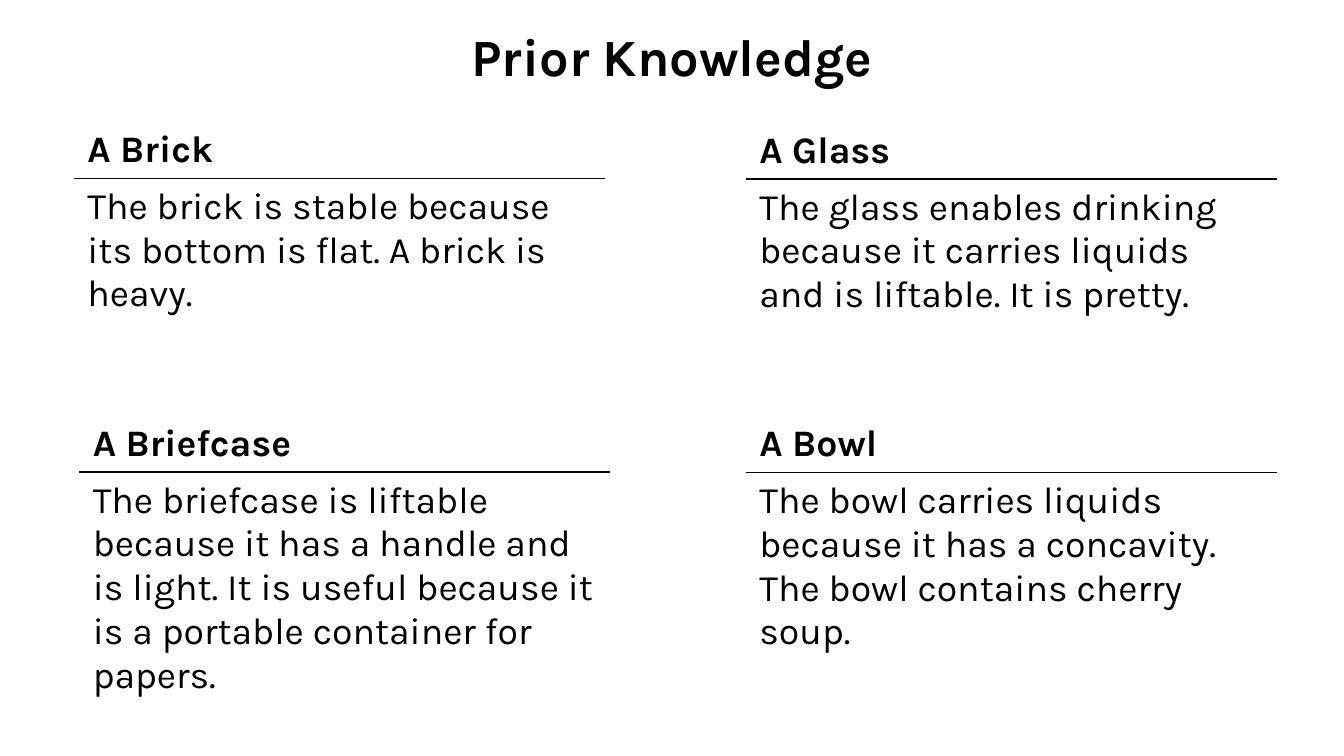
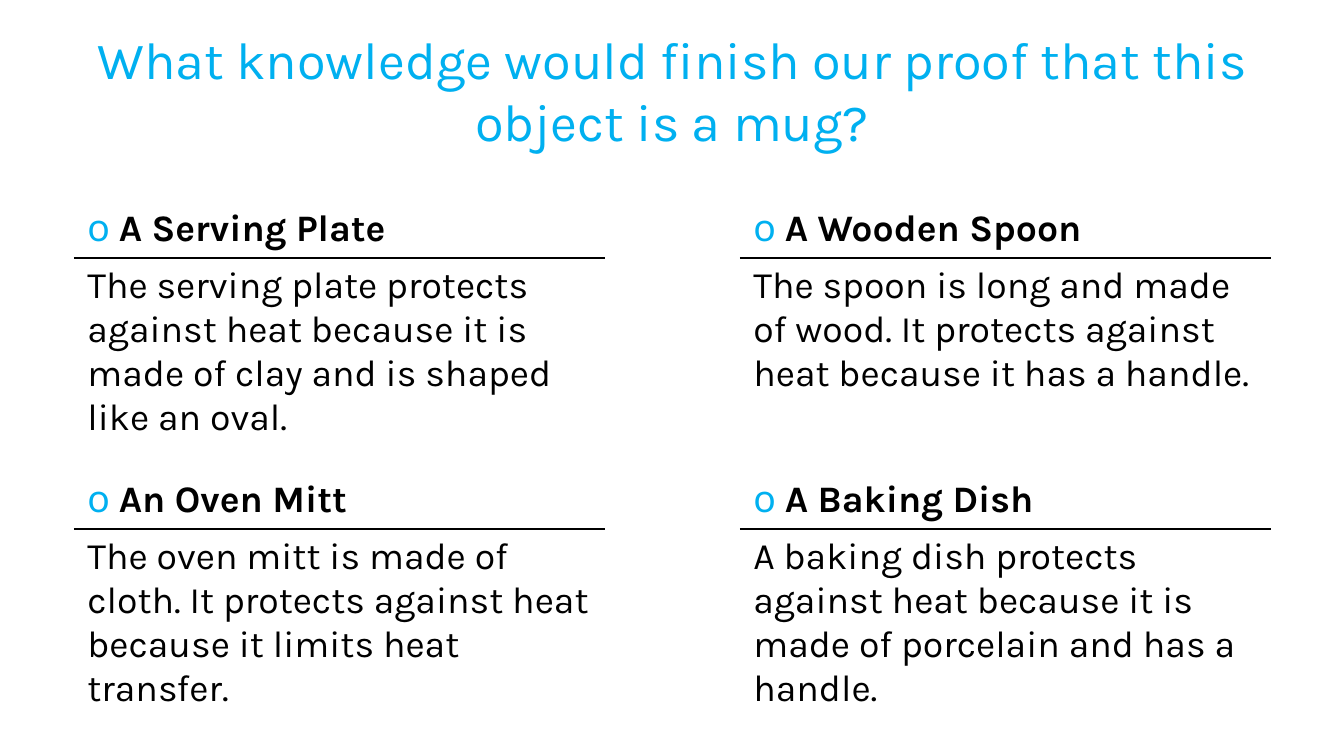
from itertools import product

from lxml import etree
from pptx import Presentation
from pptx.dml.color import RGBColor
from pptx.enum.text import MSO_ANCHOR, MSO_AUTO_SIZE, PP_ALIGN
from pptx.oxml.ns import qn
from pptx.util import Inches, Pt

CENTER = PP_ALIGN.CENTER
MIDDLE = MSO_ANCHOR.MIDDLE
NO_AUTOFIT = MSO_AUTO_SIZE.NONE

COLORS = {"ink": "000000", "accent": "00B0F0"}
FONT = "Karla"
TITLE_SIZE, TEXT_SIZE = 28, 20
RULE_WIDTH = Pt(1)
TITLE_ONLY = 5
PLAIN_TABLE_STYLE = "{2D5ABB26-0587-4C30-8999-92F81FD0307C}"

WIDTH = Inches(10)
HEIGHT = WIDTH * 9 // 16
COLUMN, ROW = WIDTH / 100, HEIGHT / 100
CARD_COLUMNS, CARD_ROW = 39.5, 7.3

KNOWN_OBJECTS = [
    ("A Brick", "The brick is stable because its bottom is flat. A brick is heavy."),
    ("A Glass", "The glass enables drinking because it carries liquids and is liftable. "
                "It is pretty."),
    ("A Briefcase", "The briefcase is liftable because it has a handle and is light. "
                    "It is useful because it is a portable container for papers."),
    ("A Bowl", "The bowl carries liquids because it has a concavity. "
               "The bowl contains cherry soup."),
]
KNOWN_SPOTS = [(5.5, 16.05), (55.5, 16.15), (5.9, 54.9), (55.5, 54.95)]

ANSWERS = [
    ("A Serving Plate", "The serving plate protects against heat because it is made of clay "
                        "and is shaped like an oval."),
    ("A Wooden Spoon", "The spoon is long and made of wood. "
                       "It protects against heat because it has a handle."),
    ("An Oven Mitt", "The oven mitt is made of cloth. "
                     "It protects against heat because it limits heat transfer."),
    ("A Baking Dish", "A baking dish protects against heat because it is made of porcelain "
                      "and has a handle."),
]
ANSWER_SPOTS = [(left, top) for top, left in product((26.55, 62.4), (5.5, 55.05))]


def add_run(paragraph, text, size, color="ink", bold=False):
    run = paragraph.add_run()
    run.text = text
    run.font.name = FONT
    run.font.size = Pt(size)
    run.font.bold = bold
    run.font.color.rgb = RGBColor.from_string(COLORS[color])


def add_title(slide, text, box, color="ink", bold=False):
    left, top, columns, rows = box
    title = slide.shapes.title
    title.left, title.top = round(left * COLUMN), round(top * ROW)
    title.width, title.height = round(columns * COLUMN), round(rows * ROW)
    frame = title.text_frame
    frame.word_wrap = True
    frame.auto_size = NO_AUTOFIT
    frame.vertical_anchor = MIDDLE
    heading = frame.paragraphs[0]
    heading.alignment = CENTER
    add_run(heading, text, TITLE_SIZE, color, bold)


def add_rule(cell, side):
    rule = etree.Element(qn(f"a:{side}"), w=str(RULE_WIDTH))
    fill = etree.SubElement(rule, qn("a:solidFill"))
    etree.SubElement(fill, qn("a:srgbClr"), val=COLORS["ink"])
    cell._tc.get_or_add_tcPr().insert(0, rule)


def add_card(slide, spot, name, description, marker=""):
    left, top = spot
    card = slide.shapes.add_table(
        2, 1, round(left * COLUMN), round(top * ROW),
        round(CARD_COLUMNS * COLUMN), round(2 * CARD_ROW * ROW)).table
    card.first_row = card.horz_banding = False
    card._tbl.tblPr.find(qn("a:tableStyleId")).text = PLAIN_TABLE_STYLE
    header, body = card.cell(0, 0), card.cell(1, 0)
    for cell, side in ((header, "lnB"), (body, "lnT")):
        cell.fill.background()
        add_rule(cell, side)
    label = header.text_frame.paragraphs[0]
    if marker:
        add_run(label, marker, TEXT_SIZE, "accent")
    add_run(label, name, TEXT_SIZE, bold=True)
    add_run(body.text_frame.paragraphs[0], description, TEXT_SIZE)


def add_cards(slide, spots, objects, marker=""):
    for spot, (name, description) in zip(spots, objects):
        add_card(slide, spot, name, description, marker)


def build_prior_knowledge(deck):
    slide = deck.slides.add_slide(deck.slide_layouts[TITLE_ONLY])
    add_title(slide, "Prior Knowledge", (0, 0, 100, 14.8), bold=True)
    add_cards(slide, KNOWN_SPOTS, KNOWN_OBJECTS)


def build_question(deck):
    slide = deck.slides.add_slide(deck.slide_layouts[TITLE_ONLY])
    add_title(slide, "What knowledge would finish our proof that this object is a mug?",
              (5.5, 1.8, 89, 20.1), "accent")
    add_cards(slide, ANSWER_SPOTS, ANSWERS, marker="ο ")


def main():
    deck = Presentation()
    deck.slide_width, deck.slide_height = WIDTH, HEIGHT
    build_prior_knowledge(deck)
    build_question(deck)
    deck.save("out.pptx")


if __name__ == "__main__":
    main()
